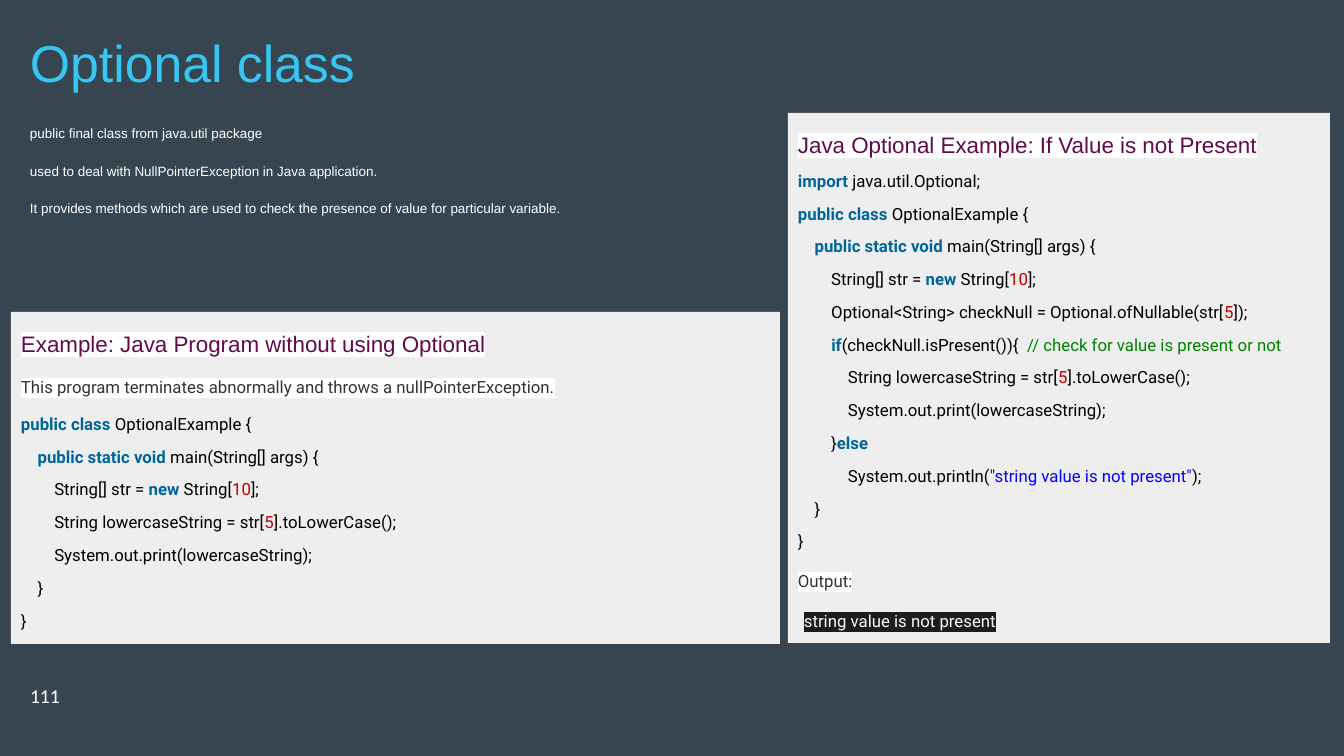
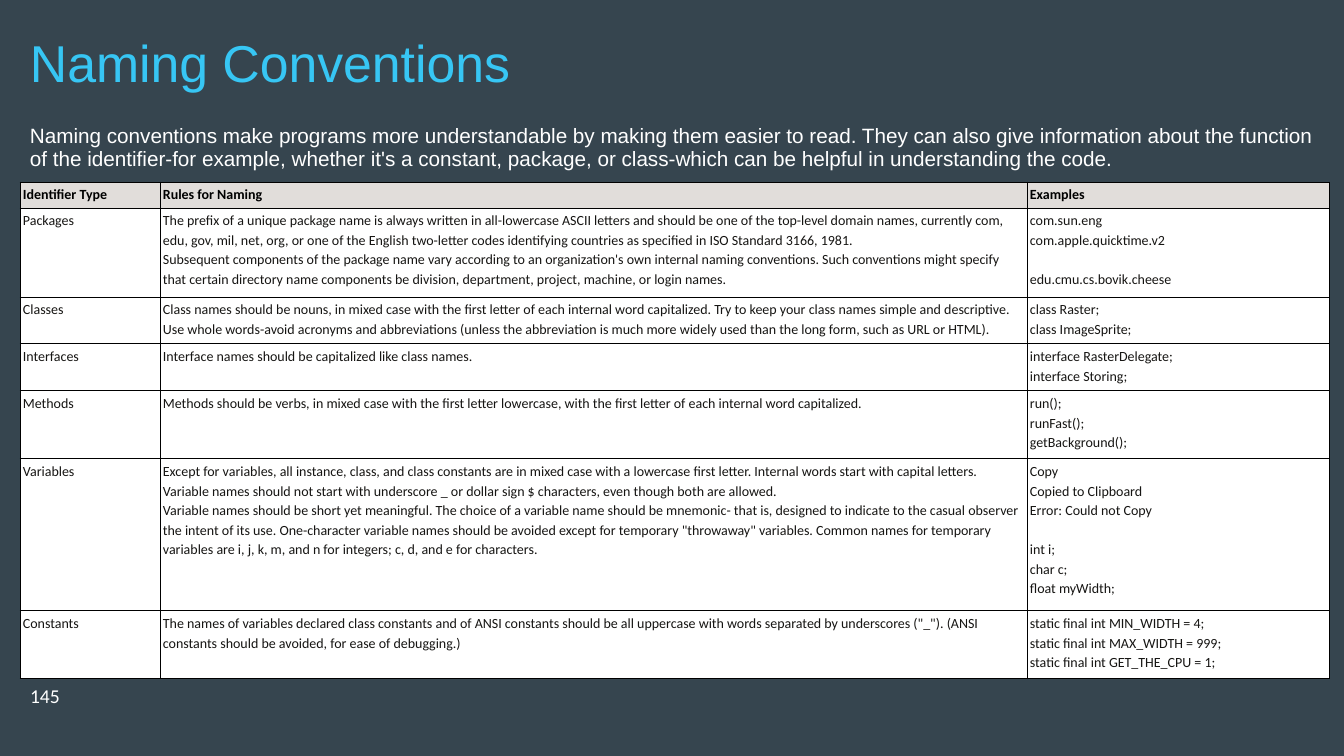
"""Build two slides on Java: the Optional class and naming conventions."""
from lxml.etree import SubElement
from pptx import Presentation
from pptx.dml.color import RGBColor
from pptx.enum.shapes import MSO_SHAPE
from pptx.enum.text import MSO_ANCHOR, PP_ALIGN
from pptx.oxml.ns import qn
from pptx.util import Emu, Pt

EMU_PER_PX = 12192000 / 1344
PAGE_SIZE = (1344, 756)
BORDER_SIDES = ("a:lnL", "a:lnR", "a:lnT", "a:lnB")

THEME = {
    "colors": {
        "page": "36454F", "panel": "EEEEEE", "header": "E1DDDA", "cell": "FFFFFF",
        "border": "000000", "title": "37C6F4", "light": "FFFFFF", "heading": "610B4B",
        "note": "333333", "code": "000000", "keyword": "006699", "number": "C00000",
        "comment": "008200", "string": "0000FF", "output": "F9F9F9",
        "console": "1C1D1C", "cell_text": "161513",
    },
    "styles": {
        "title": {"font": ("Arial", 37, "title")},
        "facts": {"font": ("Arial", 9.6, "light"), "spacing": (0.95, 16)},
        "intro": {"font": ("Arial", 14.8, "light"), "spacing": (0.9, 0)},
        "number": {"font": ("Calibri", 14, "light")},
        "heading": {"font": ("Arial", 16, "heading"), "spacing": (1.3, 14), "mark": "light"},
        "note": {"font": ("Roboto", 12, "note"), "spacing": (1.15, 12), "mark": "light"},
        "code": {"font": ("Roboto", 12, "code"), "spacing": (1, 9)},
        "first_code": {"font": ("Roboto", 12, "code"), "spacing": (1, 12)},
        "output": {"font": ("Roboto", 12, "output"), "spacing": (1.15, 12),
                   "mark": "console", "indent": 6},
        "header": {"font": ("Calibri", 10, "code"), "spacing": (1.15, 0), "bold": True},
        "cell": {"font": ("Calibri", 10, "cell_text"), "spacing": (1.15, 0)},
        "cell_group": {"font": ("Calibri", 10, "cell_text"), "spacing": (1.15, 14)},
    },
    "insets": {"title": (10, 11), "text": (10, 5), "panel": (10, 10), "cell": (3, 2)},
}

TITLE_AREA = (20, 20, 1310, 101)
NUMBER_AREA = (20, 679, 134, 50)

OPTIONAL = {
    "title": "Optional class",
    "number": "111",
    "body": {
        "area": (20, 121, 759, 178),
        "style": "facts",
        "texts": [
            "public final class from java.util package",
            "used to deal with NullPointerException in Java application.",
            "It provides methods which are used to check the presence of value for particular variable.",
        ],
    },
}

CLASS_LINE = [("public class", "keyword"), " OptionalExample {"]
MAIN_LINES = [
    ("code", ["    ", ("public static void", "keyword"), " main(String[] args) {"]),
    ("code", ["        String[] str = ", ("new", "keyword"), " String[", ("10", "number"), "];"]),
]
LOWERCASE = ["String lowercaseString = str[", ("5", "number"), "].toLowerCase();"]
PRINT = "System.out.print(lowercaseString);"
CLOSING_LINES = [("code", ["    }"]), ("code", ["}"])]

PANELS = [
    ((11, 312, 769, 332), [
        ("heading", ["Example: Java Program without using Optional"]),
        ("note", ["This program terminates abnormally and throws a nullPointerException."]),
        ("first_code", CLASS_LINE),
        *MAIN_LINES,
        ("code", ["        ", *LOWERCASE]),
        ("code", ["        " + PRINT]),
        *CLOSING_LINES,
    ]),
    ((788, 113, 542, 530), [
        ("heading", ["Java Optional Example: If Value is not Present"]),
        ("code", [("import", "keyword"), " java.util.Optional;"]),
        ("code", CLASS_LINE),
        *MAIN_LINES,
        ("code", ["        Optional<String> checkNull = Optional.ofNullable(str[",
                  ("5", "number"), "]);"]),
        ("code", ["        ", ("if", "keyword"), "(checkNull.isPresent()){  ",
                  ("// check for value is present or not", "comment")]),
        ("code", ["            ", *LOWERCASE]),
        ("code", ["            " + PRINT]),
        ("code", ["        }", ("else", "keyword")]),
        ("code", ["            System.out.println(",
                  ('"string value is not present"', "string"), ");"]),
        *CLOSING_LINES,
        ("note", ["Output:"]),
        ("output", ["string value is not present"]),
    ]),
]

NAMING = {
    "title": "Naming Conventions",
    "number": "145",
    "body": {
        "area": (20, 121, 1310, 61),
        "style": "intro",
        "texts": [
            "Naming conventions make programs more understandable by making them easier to read. "
            "They can also give information about the function of the identifier-for example, "
            "whether it's a constant, package, or class-which can be helpful in understanding the code.",
        ],
    },
}

TABLE_ORIGIN = (20, 182)
COLUMN_WIDTHS = (140, 867, 303)
HEADERS = ["Identifier Type", "Rules for Naming", "Examples"]
HEADER_HEIGHT = 26
CONVENTIONS = [
    (89, "Packages", [
        "The prefix of a unique package name is always written in all-lowercase ASCII letters and "
        "should be one of the top-level domain names, currently com, edu, gov, mil, net, org, or one "
        "of the English two-letter codes identifying countries as specified in ISO Standard 3166, 1981.",
        "Subsequent components of the package name vary according to an organization's own internal "
        "naming conventions. Such conventions might specify that certain directory name components "
        "be division, department, project, machine, or login names.",
    ], [["com.sun.eng", "com.apple.quicktime.v2"], ["edu.cmu.cs.bovik.cheese"]]),
    (47, "Classes", [
        "Class names should be nouns, in mixed case with the first letter of each internal word "
        "capitalized. Try to keep your class names simple and descriptive. Use whole words-avoid "
        "acronyms and abbreviations (unless the abbreviation is much more widely used than the long "
        "form, such as URL or HTML).",
    ], [["class Raster;", "class ImageSprite;"]]),
    (47, "Interfaces", [
        "Interface names should be capitalized like class names.",
    ], [["interface RasterDelegate;", "interface Storing;"]]),
    (68, "Methods", [
        "Methods should be verbs, in mixed case with the first letter lowercase, with the first "
        "letter of each internal word capitalized.",
    ], [["run();", "runFast();", "getBackground();"]]),
    (152, "Variables", [
        "Except for variables, all instance, class, and class constants are in mixed case with a "
        "lowercase first letter. Internal words start with capital letters. Variable names should "
        "not start with underscore _ or dollar sign $ characters, even though both are allowed.",
        "Variable names should be short yet meaningful. The choice of a variable name should be "
        "mnemonic- that is, designed to indicate to the casual observer the intent of its use. "
        "One-character variable names should be avoided except for temporary \"throwaway\" variables. "
        "Common names for temporary variables are i, j, k, m, and n for integers; c, d, and e for "
        "characters.",
    ], [["Copy", "Copied to Clipboard", "Error: Could not Copy"],
        ["int i;", "char c;", "float myWidth;"]]),
    (68, "Constants", [
        "The names of variables declared class constants and of ANSI constants should be all "
        "uppercase with words separated by underscores (\"_\"). (ANSI constants should be avoided, "
        "for ease of debugging.)",
    ], [["static final int MIN_WIDTH = 4;", "static final int MAX_WIDTH = 999;",
         "static final int GET_THE_CPU = 1;"]]),
]


def px(length):
    return Emu(round(length * EMU_PER_PX))


def color(name):
    return RGBColor.from_string(THEME["colors"][name])


def set_all(target, values):
    for name, value in values.items():
        setattr(target, name, value)


def paint(target, name):
    target.fill.solid()
    target.fill.fore_color.rgb = color(name)


def set_insets(target, kind):
    side, end = (px(inset) for inset in THEME["insets"][kind])
    set_all(target, {"margin_left": side, "margin_right": side,
                     "margin_top": end, "margin_bottom": end})


def add_span(para, text, style, role):
    span = para.add_run()
    span.text = text
    face, size, tone = style["font"]
    set_all(span.font, {"name": face, "size": Pt(size),
                        "bold": role == "keyword" or style.get("bold", False)})
    span.font.color.rgb = color(role or tone)
    if "mark" in style:
        properties = span.font._element
        highlight = SubElement(properties, qn("a:highlight"))
        SubElement(highlight, qn("a:srgbClr"), val=THEME["colors"][style["mark"]])
        properties.find(qn("a:solidFill")).addnext(highlight)


def write(frame, lines):
    frame.word_wrap = True
    for index, (style_name, spans) in enumerate(lines):
        style = THEME["styles"][style_name]
        para = frame.add_paragraph() if index else frame.paragraphs[0]
        line_spacing, before = style.get("spacing", (1, 0))
        set_all(para, {"alignment": PP_ALIGN.LEFT, "line_spacing": line_spacing,
                       "space_before": Pt(before if index else 0), "space_after": Pt(0)})
        if "indent" in style:
            para._p.get_or_add_pPr().set("marL", str(px(style["indent"])))
        for span in spans:
            text, role = (span, None) if isinstance(span, str) else span
            add_span(para, text, style, role)


def add_text(page, area, lines, insets="text"):
    box = page.shapes.add_textbox(*map(px, area))
    set_insets(box.text_frame, insets)
    write(box.text_frame, lines)


def add_page(deck, content):
    page = deck.slides.add_slide(deck.slide_layouts[6])
    paint(page.background, "page")
    body = content["body"]
    add_text(page, TITLE_AREA, [("title", [content["title"]])], "title")
    add_text(page, body["area"], [(body["style"], [text]) for text in body["texts"]])
    add_text(page, NUMBER_AREA, [("number", [content["number"]])])
    return page


def add_panel(page, area, lines):
    panel = page.shapes.add_shape(MSO_SHAPE.RECTANGLE, *map(px, area))
    panel.shadow.inherit = False
    paint(panel, "panel")
    panel.line.fill.background()
    panel.text_frame.vertical_anchor = MSO_ANCHOR.TOP
    set_insets(panel.text_frame, "panel")
    write(panel.text_frame, lines)


def fill_cell(cell, lines, fill):
    set_insets(cell, "cell")
    cell.vertical_anchor = MSO_ANCHOR.TOP
    for side in BORDER_SIDES:
        line = SubElement(cell._tc.get_or_add_tcPr(), qn(side), w=str(Pt(0.75)))
        SubElement(SubElement(line, qn("a:solidFill")), qn("a:srgbClr"),
                   val=THEME["colors"]["border"])
    paint(cell, fill)
    write(cell.text_frame, lines)


def group_lines(groups):
    return [("cell" if index else "cell_group", [text])
            for group in groups for index, text in enumerate(group)]


def add_conventions(page):
    rows = [(HEADER_HEIGHT, "header", [[("header", [text])] for text in HEADERS])]
    for height, kind, rules, examples in CONVENTIONS:
        rows.append((height, "cell", [group_lines(groups) for groups in ([[kind]], [rules], examples)]))
    size = (sum(COLUMN_WIDTHS), sum(row[0] for row in rows))
    table = page.shapes.add_table(len(rows), len(COLUMN_WIDTHS),
                                  *map(px, TABLE_ORIGIN + size)).table
    for column, width in zip(table.columns, COLUMN_WIDTHS):
        column.width = px(width)
    for row, (height, fill, cells) in zip(table.rows, rows):
        row.height = px(height)
        for cell, lines in zip(row.cells, cells):
            fill_cell(cell, lines, fill)


def main():
    deck = Presentation()
    deck.slide_width, deck.slide_height = map(px, PAGE_SIZE)
    optional_page = add_page(deck, OPTIONAL)
    for area, lines in PANELS:
        add_panel(optional_page, area, lines)
    add_conventions(add_page(deck, NAMING))
    deck.save("out.pptx")


if __name__ == "__main__":
    main()
